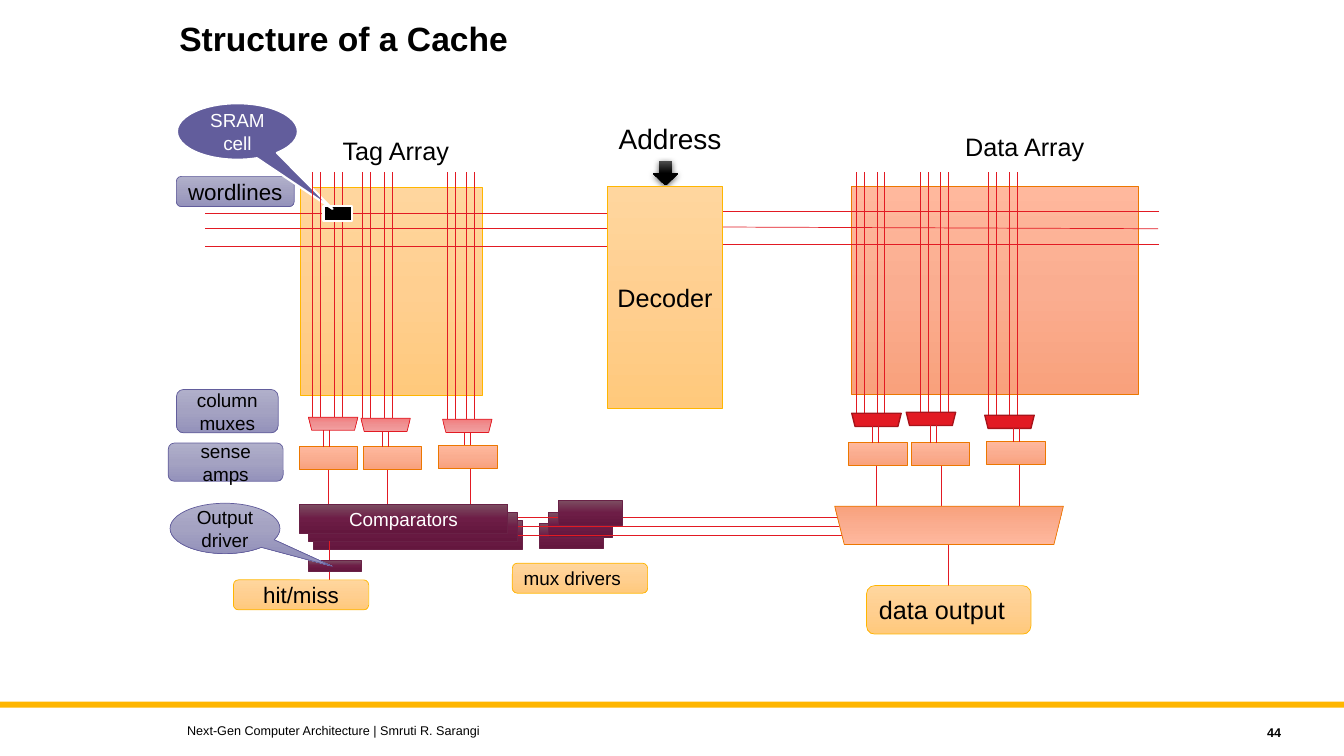
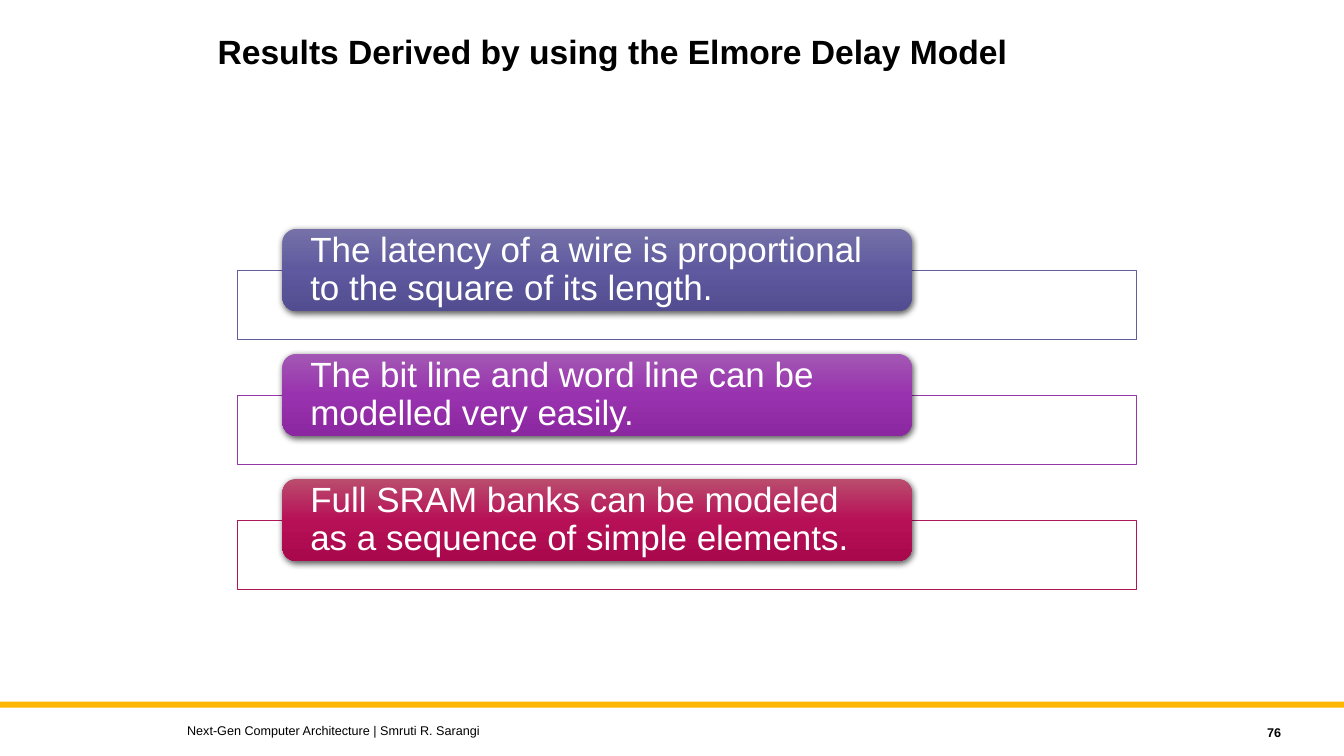
from collections import namedtuple
from copy import deepcopy

from lxml.etree import SubElement
from pptx import Presentation
from pptx.dml.color import RGBColor
from pptx.enum.shapes import MSO_CONNECTOR as Connector, MSO_SHAPE as Preset
from pptx.enum.text import MSO_ANCHOR as Anchor, PP_ALIGN as Align
from pptx.oxml.ns import qn
from pptx.util import Pt

# Shared look
FONT = "Arial"
BLACK, WHITE, GOLD = "000000", "FFFFFF", "FFB600"
RED, DARK_RED, INDIGO = "E21A23", "A7131A", "625D9C"
FOOTER = "Next-Gen Computer Architecture | Smruti R. Sarangi"

# A style is a fill (one colour, or three from top to bottom) and an outline
Style = namedtuple("Style", "fill line weight", defaults=(None, 0.5))
YELLOW = Style(("FFD69E", "FFCF90", "FFC97C"), GOLD)
ORANGE = Style(("FFB89D", "FAAD90", "F9A17C"), "EC7700")
LILAC = Style(("B0AFCA", "A4A2C2", "9492BB"), INDIGO)
PLUM = Style(("7C4F62", "6D1D46", "64173E"), "692146")
PINK = Style(("F2A0A1", "EF9293", "F27D7E"), RED)
SOLID_RED = Style(RED, DARK_RED, 1)

# Array columns: mux corner, first line of each bit line pair,
# sense amp corner, first read line, output line
Column = namedtuple("Column", "mux_x mux_y left_bit right_bit amp_x amp_y read_x out_x")
TAG_COLUMNS = [
    Column(220.3, 298, 223.2, 238.8, 213.8, 319, 231.1, 234.9),
    Column(257.8, 298.8, 259, 274.5, 259.2, 319, 272.9, 277),
    Column(316.1, 299.5, 319.7, 333.2, 313.2, 318.2, 331.9, 335.8),
]
DATA_COLUMNS = [
    Column(608.4, 295.2, 612, 626.4, 606.2, 316.1, 622.8, 626.2),
    Column(647.3, 294.5, 657.4, 671.8, 650.9, 316.1, 664.6, 672.1),
    Column(703.4, 296.6, 706.3, 721.2, 704.9, 315.4, 723.6, 728.3),
]


def color(value):
    return RGBColor.from_string(value)


def write(shape, text, size, ink=BLACK, bold=False, align=Align.LEFT,
          anchor=Anchor.MIDDLE, spacing=None):
    frame = shape.text_frame
    frame.word_wrap = " " in text  # a single word never breaks
    frame.vertical_anchor = anchor
    paragraph = frame.paragraphs[0]
    paragraph.text = text
    paragraph.alignment = align
    if spacing:
        paragraph.line_spacing = spacing
    font = paragraph.font
    font.name, font.size, font.bold = FONT, Pt(size), bold
    font.color.rgb = color(ink)


def add_text(slide, text, left, top, width, height, size, **options):
    box = slide.shapes.add_textbox(Pt(left), Pt(top), Pt(width), Pt(height))
    write(box, text, size, **options)


def fill_gradient(shape, colors):
    shape.fill.gradient()
    shape.fill.gradient_angle = 270
    stop_list = shape.element.spPr.find(".//" + qn("a:gsLst"))
    stop_list.append(deepcopy(stop_list[0]))
    for stop, value, position in zip(shape.fill.gradient_stops, colors, (0, 0.5, 1)):
        stop.color.rgb = color(value)
        stop.position = position


def add_shape(slide, preset, left, top, width, height, style):
    shape = slide.shapes.add_shape(preset, Pt(left), Pt(top), Pt(width), Pt(height))
    shape.shadow.inherit = False
    if isinstance(style.fill, tuple):
        fill_gradient(shape, style.fill)
    else:
        shape.fill.solid()
        shape.fill.fore_color.rgb = color(style.fill)
    if style.line:
        shape.line.color.rgb = color(style.line)
        shape.line.width = Pt(style.weight)
    else:
        shape.line.fill.background()
    return shape


def add_drop_shadow(shape):
    effects = shape.element.spPr.find(qn("a:effectLst"))
    shadow = SubElement(effects, qn("a:outerShdw"), blurRad=str(Pt(4.5)),
                        dist=str(Pt(1.5)), dir="5400000", rotWithShape="0")
    shade = SubElement(shadow, qn("a:srgbClr"), val=BLACK)
    SubElement(shade, qn("a:alpha"), val="63000")


def add_wire(slide, x1, y1, x2, y2):
    wire = slide.shapes.add_connector(Connector.STRAIGHT, Pt(x1), Pt(y1), Pt(x2), Pt(y2))
    wire.line.color.rgb = color(RED)
    wire.line.width = Pt(0.5)
    SubElement(wire._element.spPr, qn("a:effectLst"))


def add_label(slide, text, left, top, width, height, style, size, align=Align.CENTER):
    label = add_shape(slide, Preset.ROUNDED_RECTANGLE, left, top, width, height, style)
    write(label, text, size, align=align)


def add_callout(slide, text, left, top, width, height, style, tip, ink):
    callout = add_shape(slide, Preset.OVAL_CALLOUT, left, top, width, height, style)
    callout.adjustments[0], callout.adjustments[1] = tip
    write(callout, text, 13.5, ink, align=Align.CENTER)


def add_mux(slide, left, top, width, height, style):
    add_shape(slide, Preset.TRAPEZOID, left, top, width, height, style).rotation = 180


def add_bit_lines(slide, x, bottom):
    for bit_x in (x, x + 5.5):
        add_wire(slide, bit_x, 123.1, bit_x, bottom)


def add_column(slide, column, mux_style, out_end):
    add_mux(slide, column.mux_x, column.mux_y, 35.3, 9.4, mux_style)
    add_shape(slide, Preset.RECTANGLE, column.amp_x, column.amp_y, 41.8, 16.6, ORANGE)
    for read_x in (column.read_x, column.read_x + 4.3):
        add_wire(slide, read_x, column.mux_y + 9.4, read_x, column.amp_y)
    add_wire(slide, column.out_x, column.amp_y + 16.6, column.out_x, out_end)


def new_slide(deck, title, left, top, width, height, number):
    slide = deck.slides.add_slide(deck.slide_layouts[6])
    add_shape(slide, Preset.RECTANGLE, 0, 501.2, 960, 4.3, Style(GOLD))
    add_text(slide, title, left, top, width, height, 24, bold=True,
             anchor=Anchor.TOP, spacing=0.9)
    add_text(slide, FOOTER, 126.6, 512.6, 576, 18, 9)
    add_text(slide, number, 821.5, 514.4, 100.8, 18, 9, bold=True, align=Align.RIGHT)
    return slide


def build_cache(deck):
    slide = new_slide(deck, "Structure of a Cache", 121, 12.2, 620.6, 78.5, "44")

    # Arrays and their headings
    add_text(slide, "Address", 434.9, 83.5, 88.6, 31.7, 20, anchor=Anchor.TOP)
    add_text(slide, "Tag Array", 237.6, 92.9, 91.4, 28.8, 18, anchor=Anchor.TOP)
    add_text(slide, "Data Array", 682.4, 90, 100, 28.8, 18, anchor=Anchor.TOP)
    arrow = add_shape(slide, Preset.DOWN_ARROW, 466.4, 115.2, 18, 17.3,
                      Style(("4B4B4B", BLACK, BLACK)))
    add_drop_shadow(arrow)
    add_shape(slide, Preset.RECTANGLE, 214.2, 133.9, 130.3, 148.3, YELLOW)
    add_shape(slide, Preset.RECTANGLE, 608.2, 133.2, 204.8, 148.3, ORANGE)

    # Word lines
    for y in (152.4, 163.4, 175.9):
        add_wire(slide, 433.4, y, 146.2, y)
    for right, y_right, y_left in ((828, 150.8, 150.8), (827.3, 163.4, 162),
                                   (828, 174.5, 174.5)):
        add_wire(slide, right, y_right, 478.1, y_left)

    # Bit lines, with the SRAM cell between the two sets
    columns = TAG_COLUMNS + DATA_COLUMNS
    for column in columns:
        add_bit_lines(slide, column.right_bit, column.mux_y)
    add_shape(slide, Preset.RECTANGLE, 231.1, 146.9, 20.2, 10.8, Style(BLACK, WHITE, 1.5))
    add_label(slide, "wordlines", 126, 126, 84.2, 21.6, LILAC, 16)
    add_callout(slide, "SRAM cell", 126.4, 73.8, 86.4, 40.3,
                Style(INDIGO, WHITE, 1.5), (0.787, 1.372), WHITE)
    for column in columns:
        add_bit_lines(slide, column.left_bit, column.mux_y)

    # Column muxes and sense amps
    for column in TAG_COLUMNS:
        add_column(slide, column, PINK, 360)
    for column in DATA_COLUMNS:
        add_column(slide, column, SOLID_RED, 367.9)
    add_label(slide, "column muxes", 126, 278.2, 72.7, 31, LILAC, 13.5)
    add_label(slide, "sense amps", 120.2, 316.4, 82.1, 27.4, LILAC, 13.5)

    # Comparators, hit/miss and its driver
    for left, top in ((223.9, 371.5), (220.3, 365.8), (213.8, 360)):
        comparator = add_shape(slide, Preset.RECTANGLE, left, top, 149, 20.9, PLUM)
    write(comparator, "Comparators", 13.5, WHITE, align=Align.CENTER)
    add_wire(slide, 235, 386.6, 235, 429)
    add_label(slide, "hit/miss", 166.8, 414.2, 96.6, 21.4, YELLOW, 16)
    add_shape(slide, Preset.RECTANGLE, 220.3, 400.3, 37.8, 7.7, PLUM)
    add_callout(slide, "Output driver", 121.5, 359.5, 78.5, 36, LILAC,
                (0.978, 0.752), BLACK)

    # Mux drivers and their wires, the front driver above the wires
    for left, top in ((385.2, 373.7), (391.7, 365.8)):
        add_shape(slide, Preset.RECTANGLE, left, top, 45.7, 18, PLUM)
    for y in (369.4, 376.2, 382.1):
        add_wire(slide, 370.1, y, 603.4, y)
    add_shape(slide, Preset.RECTANGLE, 398.9, 357.4, 45.7, 18, PLUM)
    add_label(slide, "mux drivers", 366, 402.3, 96.6, 21.4, YELLOW, 13.5, Align.LEFT)

    # Data output and decoder
    add_wire(slide, 677.5, 388.8, 677.5, 418.3)
    add_label(slide, "data output", 619, 418.3, 117.4, 34.6, YELLOW, 18, Align.LEFT)
    add_mux(slide, 596.2, 361.6, 163.4, 27.4, ORANGE)
    decoder = add_shape(slide, Preset.RECTANGLE, 433.8, 133.2, 82.4, 158.4, YELLOW)
    write(decoder, "Decoder", 18, align=Align.CENTER)


def build_results(deck):
    slide = new_slide(deck, "Results Derived by using the Elmore Delay Model",
                      148.3, 21.6, 642.2, 64.8, "76")
    results = [
        ("The latency of a wire is proportional to the square of its length.",
         INDIGO, ("7571A8", "5F5A9F", "524D90")),
        ("The bit line and word line can be modelled very easily.",
         "9537A9", ("A258B4", "9932AE", "8B27A0")),
        ("Full SRAM banks can be modeled as a sequence of simple elements.",
         "AF1858", ("BA4D6E", "B71057", "A9084C")),
    ]
    for index, (text, outline, shades) in enumerate(results):
        top = 163.5 + 89.3 * index
        add_shape(slide, Preset.RECTANGLE, 169.6, top + 29.5, 642.2, 49.5,
                  Style(WHITE, outline))
        result = add_shape(slide, Preset.ROUNDED_RECTANGLE, 201.8, top, 449.5, 58.6,
                           Style(shades))
        add_drop_shadow(result)
        frame = result.text_frame
        frame.margin_left = frame.margin_right = Pt(17)
        frame.margin_top = frame.margin_bottom = 0
        write(result, text, 25, WHITE, spacing=0.9)


def main():
    deck = Presentation()
    deck.slide_width, deck.slide_height = Pt(960), Pt(540)
    build_cache(deck)
    build_results(deck)
    deck.save("out.pptx")


if __name__ == "__main__":
    main()
